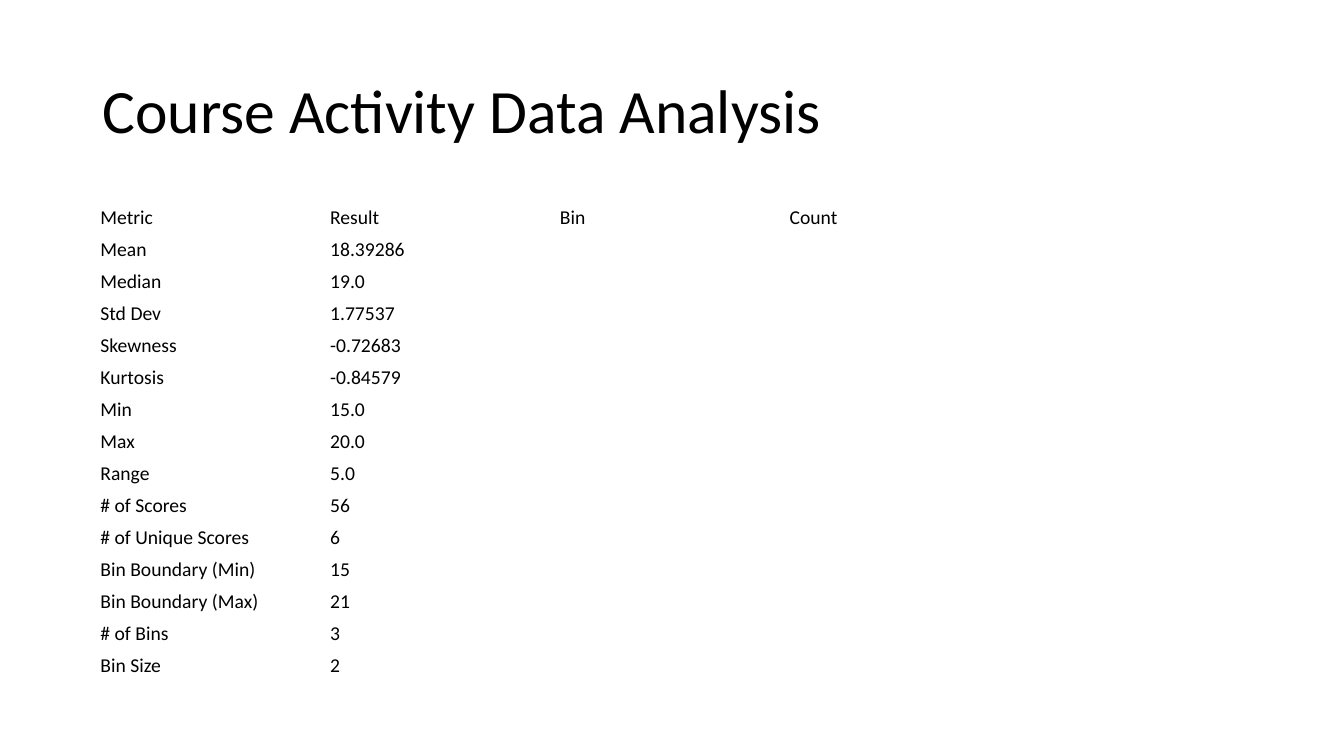
from pptx import Presentation
from pptx.dml.color import RGBColor
from pptx.enum.text import MSO_ANCHOR, PP_ALIGN
from pptx.util import Cm, Pt


def color(value):
    return RGBColor.from_string(value)


def write(frame, text, size=14, font="Calibri", fill="000000", spacing=1.0):
    paragraph = frame.paragraphs[0]
    paragraph.alignment = PP_ALIGN.LEFT
    paragraph.line_spacing = spacing
    if not text:
        paragraph._p.get_or_add_endParaRPr().set("sz", str(size * 100))
        return
    run = paragraph.add_run()
    run.text = text
    run.font.size = Pt(size)
    run.font.name = font
    run.font.color.rgb = color(fill)


presentation = Presentation()
presentation.slide_width = Cm(33.87)
presentation.slide_height = Cm(19.05)
slide = presentation.slides.add_slide(presentation.slide_layouts[5])
slide.background.fill.solid()
slide.background.fill.fore_color.rgb = color("FFFFFF")

title = slide.shapes.title
title.left, title.top, title.width, title.height = Cm(2.33), Cm(1.01), Cm(29.21), Cm(3.68)
title.text_frame.vertical_anchor = MSO_ANCHOR.MIDDLE
write(title.text_frame, "Course Activity Data Analysis", size=44, spacing=0.9)

rows = [
    ("Metric", "Result", "Bin", "Count"),
    ("Mean", "18.39286", "", ""),
    ("Median", "19.0", "", ""),
    ("Std Dev", "1.77537", "", ""),
    ("Skewness", "-0.72683", "", ""),
    ("Kurtosis", "-0.84579", "", ""),
    ("Min", "15.0", "", ""),
    ("Max", "20.0", "", ""),
    ("Range", "5.0", "", ""),
    ("# of Scores", "56", "", ""),
    ("# of Unique Scores", "6", "", ""),
    ("Bin Boundary (Min)", "15", "", ""),
    ("Bin Boundary (Max)", "21", "", ""),
    ("# of Bins", "3", "", ""),
    ("Bin Size", "2", "", ""),
]
column_width = Cm(5.79)
row_height = Cm(12.09 / len(rows))
table = slide.shapes.add_table(
    len(rows), len(rows[0]), Cm(2.33), Cm(5.08),
    column_width * len(rows[0]), row_height * len(rows),
).table
table.first_row = False
table.horz_banding = False

for column in table.columns:
    column.width = column_width
for row, values in zip(table.rows, rows):
    row.height = row_height
    for cell, value in zip(row.cells, values):
        cell.fill.background()
        cell.vertical_anchor = MSO_ANCHOR.MIDDLE
        cell.margin_left = cell.margin_right = Cm(0.2)
        cell.margin_top = cell.margin_bottom = Cm(0.1)
        write(cell.text_frame, value)

presentation.save("out.pptx")
